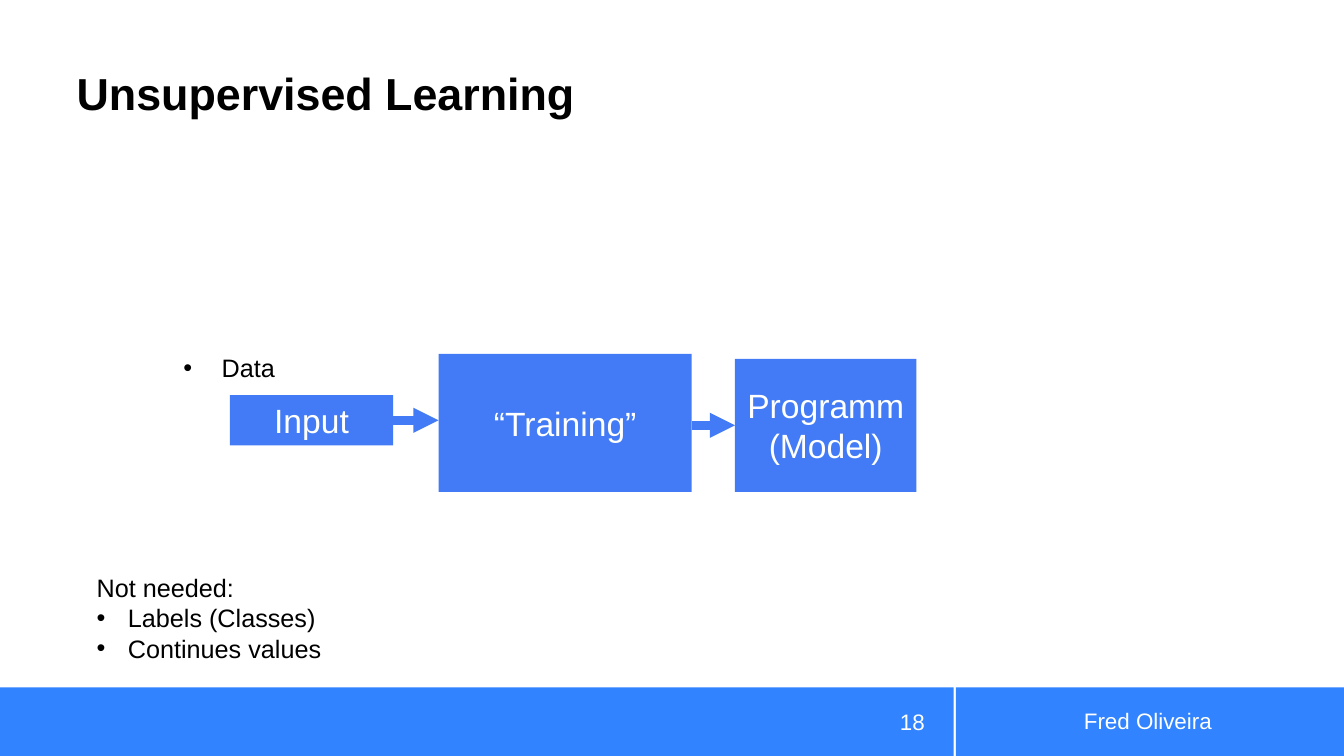
from lxml.etree import SubElement
from pptx import Presentation
from pptx.dml.color import RGBColor
from pptx.enum.shapes import MSO_CONNECTOR, MSO_SHAPE
from pptx.enum.text import MSO_ANCHOR, PP_ALIGN
from pptx.oxml.ns import qn
from pptx.util import Inches, Pt

BLUE, BAR, WHITE, BLACK = "427BF5", "3183FF", "FFFFFF", "000000"


def color(code):
    return RGBColor.from_string(code)


def bullet(para, indent):
    props = para._p.get_or_add_pPr()
    props.set("marL", str(Inches(indent)))
    props.set("indent", str(-Inches(indent)))
    tint = SubElement(props, qn("a:buClr"))
    SubElement(tint, qn("a:srgbClr"), val=BLACK)
    SubElement(props, qn("a:buFont"), typeface="Arial")
    SubElement(props, qn("a:buChar"), char="•")


def write(shape, text, size=18, ink=BLACK, bold=False, align=PP_ALIGN.LEFT,
          anchor=MSO_ANCHOR.TOP, pad=(0.1, 0.05), indent=0, plain=0, spacing=None):
    """Fill a shape with lines of text; bullet those after the first `plain` ones."""
    frame = shape.text_frame
    frame.word_wrap = True
    frame.vertical_anchor = anchor
    frame.margin_left = frame.margin_right = Inches(pad[0])
    frame.margin_top = frame.margin_bottom = Inches(pad[1])
    frame.text = text
    for index, para in enumerate(frame.paragraphs):
        para.alignment = align
        if spacing:
            para.line_spacing = spacing
        if indent and index >= plain:
            bullet(para, indent)
        font = para.runs[0].font
        font.name, font.size, font.bold = "Arial", Pt(size), bold
        font.color.rgb = color(ink)


def label(slide, box, text, **style):
    write(slide.shapes.add_textbox(*map(Inches, box)), text, **style)


def block(slide, box, fill, text=""):
    shape = slide.shapes.add_shape(MSO_SHAPE.RECTANGLE, *map(Inches, box))
    shape.shadow.inherit = False
    shape.fill.solid()
    shape.fill.fore_color.rgb = color(fill)
    shape.line.fill.background()
    if text:
        write(shape, text, size=24, ink=WHITE, align=PP_ALIGN.CENTER,
              anchor=MSO_ANCHOR.MIDDLE)
    return shape


def arrow(slide, start, end, y):
    line = slide.shapes.add_connector(
        MSO_CONNECTOR.STRAIGHT, Inches(start), Inches(y), Inches(end), Inches(y))
    line.line.color.rgb = color(BLUE)
    line.line.width = Pt(6)
    SubElement(line.line._get_or_add_ln(), qn("a:tailEnd"), type="triangle")
    SubElement(line._element.spPr, qn("a:effectLst"))
    return line


def footer(slide, left, top, width, height):
    split, gap = 9.46, 0.02
    right = left + split + gap
    block(slide, (left, top, split, height), BAR)
    block(slide, (right, top, left + width - right, height), BAR)
    style = dict(size=16, ink=WHITE, anchor=MSO_ANCHOR.MIDDLE)
    label(slide, (left + 8.41, top + 0.14, 0.86, 0.4), "18",
          align=PP_ALIGN.RIGHT, **style)
    label(slide, (right + 0.13, top + 0.13, 3.55, 0.4), "Fred Oliveira",
          align=PP_ALIGN.CENTER, **style)


def flow(slide, left, top):
    """Draw the chain from input through training to the model."""
    def place(x, y, width, height, text):
        return block(slide, (left + x, top + y, width, height), BLUE, text)

    source = place(0, 0.41, 1.62, 0.5, "Input")
    model = place(5.01, 0.05, 1.8, 1.32, "Programm (Model)")
    place(2.07, 0, 2.51, 1.37, "“Training”")
    feed = arrow(slide, left + 1.62, left + 2.07, top + 0.66)
    feed.begin_connect(source, 3)
    result = arrow(slide, left + 4.58, left + 5.01, top + 0.71)
    result.end_connect(model, 1)
    label(slide, (left - 0.56, top - 0.06, 1.11, 0.4), "Data", indent=0.38)


def main():
    deck = Presentation()
    deck.slide_width, deck.slide_height = Inches(13.33), Inches(7.5)
    slide = deck.slides.add_slide(deck.slide_layouts[6])
    footer(slide, 0, 6.82, 13.33, 0.68)
    label(slide, (0.76, 0.13, 8.7, 1.06), "Unsupervised Learning", size=32,
          bold=True, anchor=MSO_ANCHOR.BOTTOM, pad=(0, 0), spacing=0.9)
    flow(slide, 2.28, 3.51)
    label(slide, (0.86, 5.63, 2.45, 1.01),
          "Not needed:\nLabels (Classes)\nContinues values", indent=0.31, plain=1)
    deck.save("out.pptx")


if __name__ == "__main__":
    main()
